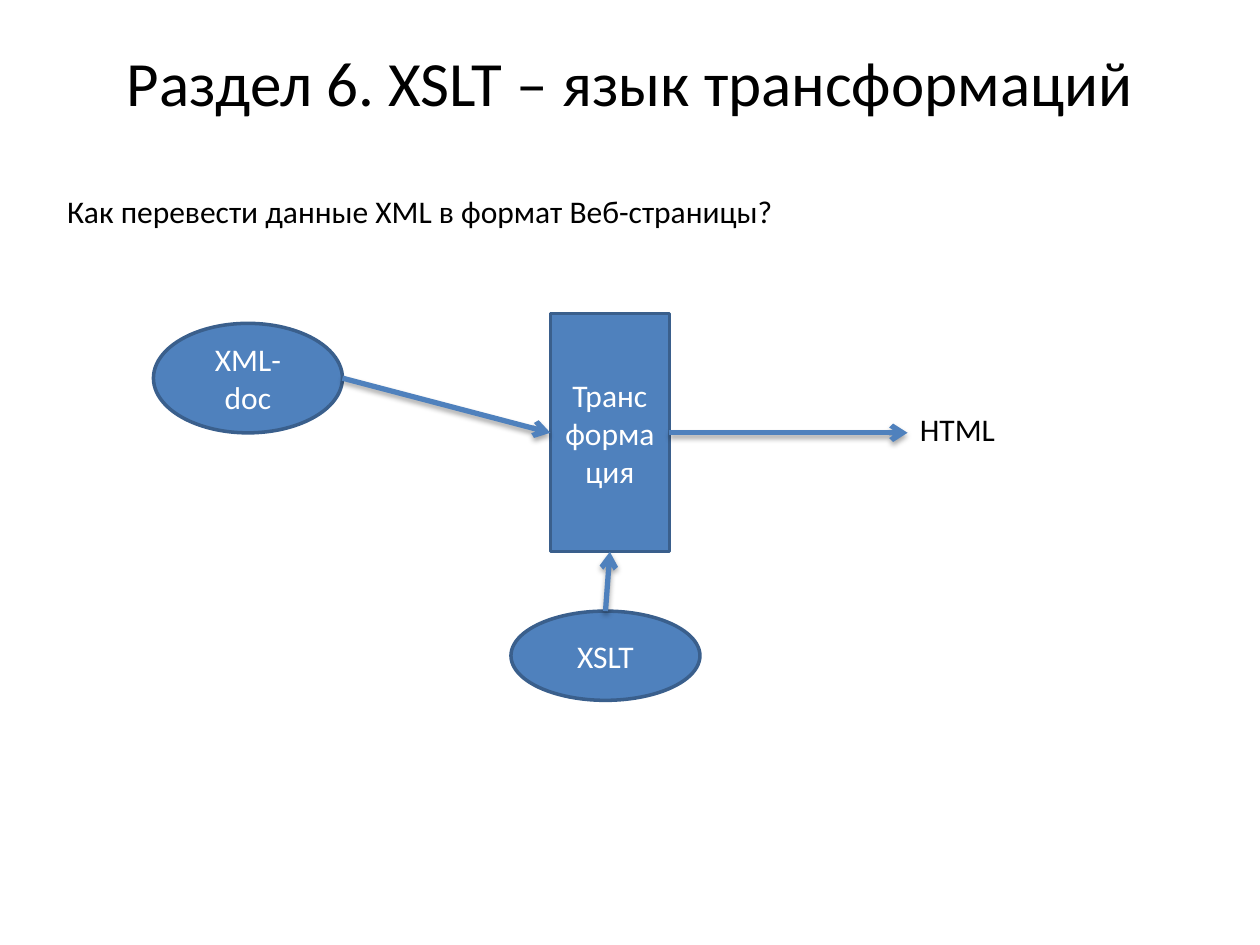
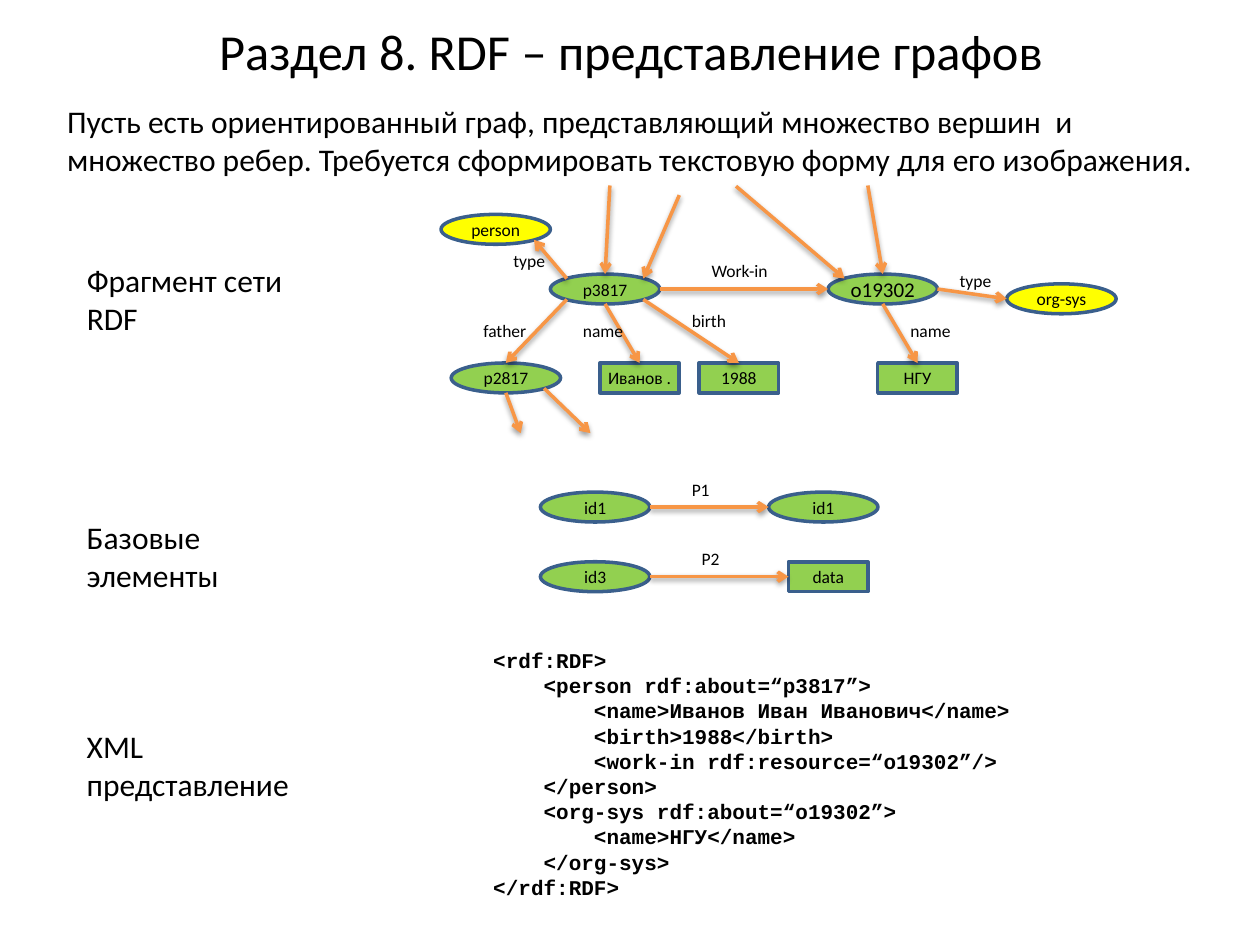
from dataclasses import dataclass

from lxml import etree
from pptx import Presentation
from pptx.dml.color import RGBColor
from pptx.enum.shapes import MSO_CONNECTOR, MSO_SHAPE
from pptx.enum.text import MSO_ANCHOR, MSO_AUTO_SIZE, PP_ALIGN
from pptx.oxml.ns import qn
from pptx.util import Pt

OVAL, RECT = MSO_SHAPE.OVAL, MSO_SHAPE.RECTANGLE
STRAIGHT = MSO_CONNECTOR.STRAIGHT
MIDDLE, TOP = MSO_ANCHOR.MIDDLE, MSO_ANCHOR.TOP
CENTER, LEFT = PP_ALIGN.CENTER, PP_ALIGN.LEFT
NO_FIT = MSO_AUTO_SIZE.NONE


@dataclass(frozen=True)
class Theme:
    """Colours, fonts and sizes shared by the slides."""
    black: str = "000000"
    white: str = "FFFFFF"
    blue: str = "4F81BD"
    outline: str = "3A5F8C"
    green: str = "92D050"
    yellow: str = "FFFF00"
    orange: str = "F79646"
    font: str = "Calibri"
    mono: str = "Courier New"
    title: float = 36
    title_small: float = 28.8
    body: float = 18
    code: float = 12
    node: float = 10
    border: float = 2


T = Theme()
NEAR, MID, FAR = 0.15, 0.5, 0.85
SITES = {
    "top": (MID, 0), "left": (0, MID), "bottom": (MID, 1), "right": (1, MID),
    "top left": (NEAR, NEAR), "top right": (FAR, NEAR),
    "bottom left": (NEAR, FAR), "bottom right": (FAR, FAR),
}
RECT_SITES = ["top", "left", "bottom", "right"]
OVAL_W, RECT_W, NODE_H = 62.5, 45.4, 17.1

CODE = """<rdf:RDF>
    <person rdf:about=“p3817”>
        <name>Иванов Иван Иванович</name>
        <birth>1988</birth>
        <work-in rdf:resource=“o19302”/>
    </person>
    <org-sys rdf:about=“o19302”>
        <name>НГУ</name>
    </org-sys>
</rdf:RDF>"""


def assign(obj, values):
    """Set every attribute of obj named in values."""
    for name, value in values.items():
        setattr(obj, name, value)


def write(sp, text, size, color=T.black, align=LEFT, anchor=TOP,
          font=T.font, bold=False, frame=None):
    """Put formatted text into a shape, one paragraph per line."""
    tf = sp.text_frame
    tf.text = text
    assign(tf, {"auto_size": NO_FIT, "word_wrap": True,
                "vertical_anchor": anchor, **(frame or {})})
    for p in tf.paragraphs:
        p.alignment = align
        assign(p.font, {"name": font, "size": Pt(size), "bold": bold})
        p.font.color.rgb = RGBColor.from_string(color)


def add_slide(prs, title, box, size):
    """Add a slide with its title placed in box."""
    slide = prs.slides.add_slide(prs.slide_layouts[5])
    sp = slide.shapes.title
    assign(sp, dict(zip(("left", "top", "width", "height"), map(Pt, box))))
    write(sp, title, size, align=CENTER, anchor=MIDDLE)
    return slide


def add_text(slide, text, box, size=T.body, **fmt):
    """Add a text box."""
    sp = slide.shapes.add_textbox(*map(Pt, box))
    write(sp, text, size, **fmt)


def add_node(slide, kind, text, box, fill, size, color=T.black, frame=None):
    """Add an outlined shape with centred text."""
    sp = slide.shapes.add_shape(kind, *map(Pt, box))
    sp.shadow.inherit = False
    sp.fill.solid()
    sp.fill.fore_color.rgb = RGBColor.from_string(fill)
    sp.line.color.rgb = RGBColor.from_string(T.outline)
    sp.line.width = Pt(T.border)
    write(sp, text, size, color, CENTER, MIDDLE, frame=frame)
    return sp


def add_graph_node(slide, kind, text, x, y, fill=T.green, size=T.node):
    """Add a small graph vertex whose text stays on one line."""
    margins = {f"margin_{side}": 0 for side in ("left", "right", "top", "bottom")}
    width = OVAL_W if kind == OVAL else RECT_W
    return add_node(slide, kind, text, (x, y, width, NODE_H), fill, size,
                    frame={"word_wrap": False, **margins})


def locate(end):
    """Return the position of a point or of a (shape, site) pair."""
    if not isinstance(end[1], str):
        return Pt(end[0]), Pt(end[1])
    sp, site = end
    fx, fy = SITES[site]
    return int(sp.left + sp.width * fx), int(sp.top + sp.height * fy)


def joinable(end):
    """Tell whether an end sits on a site shared with rectangles."""
    if not isinstance(end[1], str):
        return False
    sp, site = end
    return site == "top" or (sp.auto_shape_type == RECT and site in RECT_SITES)


def add_arrow(slide, start, end, color, width, distance, opacity):
    """Add an arrow with a soft shadow between two ends."""
    cxn = slide.shapes.add_connector(STRAIGHT, *locate(start), *locate(end))
    for join, target in ((cxn.begin_connect, start), (cxn.end_connect, end)):
        if joinable(target):
            join(target[0], RECT_SITES.index(target[1]))
    cxn.line.color.rgb = RGBColor.from_string(color)
    cxn.line.width = Pt(width)
    sp_pr = cxn.line._get_or_add_ln().getparent()
    etree.SubElement(sp_pr.find(qn("a:ln")), qn("a:tailEnd"), type="arrow")
    effects = etree.SubElement(sp_pr, qn("a:effectLst"))
    shadow = etree.SubElement(effects, qn("a:outerShdw"), blurRad=str(Pt(3.1)),
                              dist=str(Pt(distance)), dir="5400000", rotWithShape="0")
    tint = etree.SubElement(shadow, qn("a:srgbClr"), val=T.black)
    etree.SubElement(tint, qn("a:alpha"), val=str(opacity * 1000))


def build_xslt(prs):
    """Build the slide on XSLT transformations."""
    slide = add_slide(prs, "Раздел 6. XSLT – язык трансформаций",
                      (36, 21.6, 648, 49.7), T.title)
    add_text(slide, "Как перевести данные XML в формат Веб-страницы?",
             (31.2, 106, 663, 29))
    add_text(slide, "HTML", (518.6, 230.7, 62.6, 29))
    doc, process, xslt = [
        add_node(slide, kind, text, box, T.blue, T.body, T.white)
        for kind, text, box in (
            (OVAL, "XML-doc", (87.7, 184.8, 108, 62.6)),
            (RECT, "Трансформация", (314.5, 179.3, 68, 136)),
            (OVAL, "XSLT", (292, 349.2, 108, 51)))]
    for start, end in (((doc, "right"), (process, "left")),
                       ((process, "right"), (518.6, 247.3)),
                       ((xslt, "top"), (process, "bottom"))):
        add_arrow(slide, start, end, T.blue, 3, 1.8, 35)


def build_rdf(prs):
    """Build the slide on RDF graphs."""
    slide = add_slide(prs, "Раздел 8. RDF – представление графов",
                      (36.7, 9.4, 648, 38.9), T.title_small)
    add_text(slide, "Пусть есть ориентированный граф, представляющий множество "
             "вершин  и множество ребер. Требуется сформировать текстовую форму "
             "для его изображения.", (31.2, 54.7, 663, 51))
    for text, y, width in (("Фрагмент сети RDF", 145.5, 130.3),
                           ("Базовые элементы", 292.5, 136),
                           ("XML представление", 412, 141.8)):
        add_text(slide, text, (42.5, y, width, 51))

    subject_y, value_y, link_y, data_y = 156.6, 207.4, 281.2, 321
    person = add_graph_node(slide, OVAL, "person", 252, 122.5, T.yellow)
    p3817 = add_graph_node(slide, OVAL, "p3817", 314.5, subject_y)
    o19302 = add_graph_node(slide, OVAL, "o19302", 473.2, subject_y, size=T.code)
    org_sys = add_graph_node(slide, OVAL, "org-sys", 575.3, 162.2, T.yellow)
    p2817 = add_graph_node(slide, OVAL, "p2817", 257.8, value_y)
    name, birth, org_name = [
        add_graph_node(slide, RECT, text, x, value_y)
        for text, x in (("Иванов .", 342.8), ("1988", 399.5), ("НГУ", 501.6))]
    source = add_graph_node(slide, OVAL, "id1", 308.8, link_y)
    target = add_graph_node(slide, OVAL, "id1", 439.2, link_y)
    owner = add_graph_node(slide, OVAL, "id3", 308.8, data_y)
    data = add_graph_node(slide, RECT, "data", 450.6, data_y)

    for start, end in (
            ((p3817, "right"), (o19302, "left")),
            ((o19302, "right"), (org_sys, "left")),
            ((p3817, "top left"), (person, "bottom right")),
            ((348.5, 106), (p3817, "top")),
            ((388.2, 111.5), (p3817, "top right")),
            ((420.6, 106.4), (o19302, "top left")),
            ((495.9, 106), (o19302, "top")),
            ((p3817, "bottom left"), (p2817, "top")),
            ((p3817, "bottom"), (name, "top")),
            ((p3817, "bottom right"), (birth, "top")),
            ((o19302, "bottom"), (org_name, "top")),
            ((p2817, "bottom right"), (337.4, 247.5)),
            ((p2817, "bottom"), (297.5, 247.5)),
            ((source, "right"), (target, "left")),
            ((owner, "right"), (data, "left"))):
        add_arrow(slide, start, end, T.orange, 2, 1.6, 38)

    for text, x, y in (("type", 286.3, 139.6), ("type", 541.3, 151),
                       ("Work-in", 399.6, 145.3), ("name", 513.1, 179.3),
                       ("name", 326, 179.3), ("birth", 388.2, 173.6),
                       ("father", 269.1, 179.3), ("P1", 388.2, 270),
                       ("P2", 393.9, 309.7)):
        add_text(slide, text, (x, y, 51, 19.4), T.node)
    add_text(slide, CODE, (274.8, 366.5, 357, 152.6), T.code,
             font=T.mono, bold=True)


def main():
    """Build and save the presentation."""
    prs = Presentation()
    assign(prs, {"slide_width": Pt(720), "slide_height": Pt(540)})
    build_xslt(prs)
    build_rdf(prs)
    prs.save("out.pptx")


if __name__ == "__main__":
    main()
